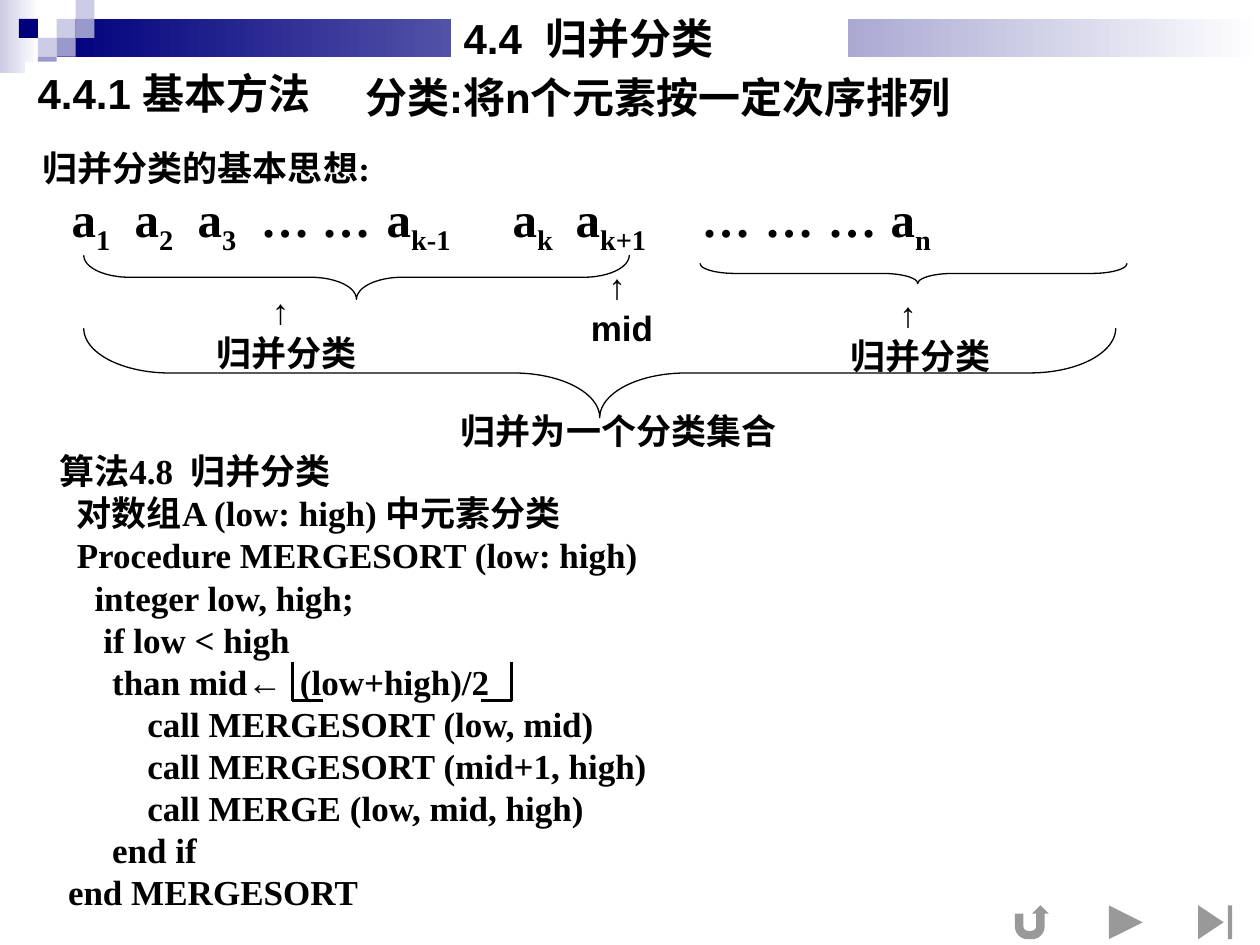
"""Build the merge sort slide: split diagram above, pseudocode below."""
from lxml import etree
from pptx import Presentation
from pptx.dml.color import RGBColor
from pptx.enum.shapes import MSO_CONNECTOR, MSO_SHAPE
from pptx.enum.text import MSO_ANCHOR, MSO_AUTO_SIZE, PP_ALIGN
from pptx.oxml.ns import qn
from pptx.util import Inches, Pt

RECT, BRACE = MSO_SHAPE.RECTANGLE, MSO_SHAPE.LEFT_BRACE
BUTTONS = (MSO_SHAPE.ACTION_BUTTON_RETURN,
           MSO_SHAPE.ACTION_BUTTON_FORWARD_OR_NEXT,
           MSO_SHAPE.ACTION_BUTTON_END)
STRAIGHT = MSO_CONNECTOR.STRAIGHT
TOP, MIDDLE = MSO_ANCHOR.TOP, MSO_ANCHOR.MIDDLE
LEFT, FIXED = PP_ALIGN.LEFT, MSO_AUTO_SIZE.NONE
C = {name: RGBColor.from_string(value) for name, value in {
    "white": "FFFFFF", "black": "000000", "navy": "00007D",
    "pale": "CCCCE6", "violet": "9999CC"}.items()}
SERIF, SANS = "Times New Roman", "Arial"
SPACE = 0.07
CELL = 0.15

prs = Presentation()
prs.slide_width, prs.slide_height = Inches(10), Inches(7.5)
s = prs.slides.add_slide(prs.slide_layouts[1])


def add_block(kind, box, *colors):
    sp = s.shapes.add_shape(kind, *map(Inches, box))
    sp.shadow.inherit = False
    sp.line.fill.background()
    if len(colors) == 2:
        sp.fill.gradient()
        sp.fill.gradient_angle = 180
        for stop, color in zip(sp.fill.gradient_stops, colors):
            stop.color.rgb = C[color]
    elif colors:
        sp.fill.solid()
        sp.fill.fore_color.rgb = C[colors[0]]
    else:
        sp.fill.background()
    return sp


def write(sp, box, lines, size=20, wrap=True, anchor=TOP):
    sp.left, sp.top, sp.width, sp.height = map(Inches, box)
    tf = sp.text_frame
    tf.auto_size, tf.word_wrap, tf.vertical_anchor = FIXED, wrap, anchor
    for i, (text, font, indent) in enumerate(lines):
        p = tf.add_paragraph() if i else tf.paragraphs[0]
        p.text = text
        p.alignment = LEFT
        p.space_before = Pt(0)
        p.font.size, p.font.bold, p.font.name = Pt(size), True, font
        p.font.color.rgb = C["black"]
        pPr = p._p.get_or_add_pPr()
        pPr.set("marL", str(Inches(indent)))
        pPr.set("indent", "0")
        pPr.insert_element_before(etree.Element(qn("a:buNone")), "a:tabLst", "a:defRPr")
    return tf


add_block(RECT, (0, 0, 0.31, 0.58), "white", "pale")
add_block(RECT, (0.45, 0.15, 9.55, 0.3), "white", "navy")
for col, row, color in [(3, 1, "pale"), (4, 0, "pale"), (4, 1, "violet"), (2, 2, "pale"),
                        (1, 1, "navy"), (3, 2, "violet"), (2, 3, "violet")]:
    add_block(RECT, (col * CELL, row * CELL, CELL, CELL), color)

for kind, left, width in zip(BUTTONS, (7.84, 8.62, 9.33), (0.7, 0.63, 0.63)):
    add_block(kind, (left, 7.14, width, 0.36), "white")

for center_x, center_y, depth, span, curve, tip in [
        (4.76, 2.96, 0.71, 8.19, 0.96, 0.5),
        (2.83, 2.2, 0.35, 4.33, 1.03, 0.5),
        (7.25, 2.17, 0.16, 3.39, 1.75, 0.51)]:
    sp = add_block(BRACE, (center_x - depth / 2, center_y - span / 2, depth, span))
    sp.rotation = 270
    sp.adjustments[0], sp.adjustments[1] = curve, tip
    sp.line.color.rgb, sp.line.width = C["black"], Pt(0.75)

title, body = s.shapes.title, s.placeholders[1]
write(title, (3.58, 0.05, 3.15, 0.5), [("4.4  归并分类", SANS, 0)], 24)
title.fill.solid()
title.fill.fore_color.rgb = C["white"]
s.shapes._spTree.append(title._element)

code = [(2, "算法4.8  归并分类"),
        (4, "对数组A (low: high) 中元素分类"),
        (4, "Procedure MERGESORT (low: high)"),
        (6, "integer low, high;"),
        (7, "if low < high"),
        (8, "than mid←  (low+high)/2"),
        (12, "call MERGESORT (low, mid)"),
        (12, "call MERGESORT (mid+1, high)"),
        (12, "call MERGE (low, mid, high)"),
        (8, "end if"),
        (3, "end MERGESORT")]
write(body, (0.23, 3.52, 5.01, 3.77),
      [(text, SERIF, n * SPACE) for n, text in code], anchor=MIDDLE)

heading = add_block(RECT, (0.2, 0.49, 2.52, 0.5), "white")
write(heading, (0.2, 0.49, 2.52, 0.5), [("4.4.1 基本方法", SANS, 0)], 24)

for box, size, wrap, lines in [
        ((2.8, 0.52, 5.24, 0.5), 24, False, [("分类:将n个元素按一定次序排列", SANS, 0)]),
        ((0.24, 1.11, 2.86, 0.44), 20, False, [("归并分类的基本思想:", SERIF, 0)]),
        ((3.56, 3.2, 2.7, 0.44), 20, False, [("归并为一个分类集合", SANS, 0)]),
        ((4.45, 2.05, 1.18, 0.77), 20, True, [("↑", SERIF, 0.28), ("mid", SANS, 0.14)]),
        ((1.44, 2.25, 1.91, 0.77), 20, True, [("↑", SERIF, 0.62), ("归并分类", SANS, 0.18)]),
        ((6.42, 2.27, 1.81, 0.77), 20, True, [("↑", SERIF, 0.62), ("归并分类", SANS, 0.23)])]:
    write(s.shapes.add_textbox(0, 0, 0, 0), box, lines, size, wrap)

terms = [("a", "1", 0), ("a", "2", 0.69), ("a", "3", 1.48), ("… …", "", 1.98),
         ("a", "k-1", 3.22), ("a", "k", 4.12), ("a", "k+1", 4.75), ("…", "", 5.5),
         ("…", "", 6.18), ("…", "", 6.95), ("a", "n", 7.81)]
tf = write(s.shapes.add_textbox(0, 0, 0, 0), (0.47, 1.45, 9.02, 0.63), [("", SERIF, 0)], 28)
p = tf.paragraphs[0]
tabs = etree.Element(qn("a:tabLst"))
p._p.get_or_add_pPr().insert_element_before(tabs, "a:defRPr")
for base, sub, pos in terms:
    if pos:
        etree.SubElement(tabs, qn("a:tab"), pos=str(Inches(pos)), algn="l")
    r = p.add_run()
    r.text = "\t" + base if pos else base
    if sub:
        r = p.add_run()
        r.text = sub
        r.font._element.set("baseline", "-25000")

for x1, y1, x2, y2 in [(2.32, 5.25, 2.32, 5.56), (4.06, 5.25, 4.06, 5.56),
                       (2.32, 5.56, 2.56, 5.56), (3.82, 5.56, 4.06, 5.56)]:
    line = s.shapes.add_connector(STRAIGHT, *map(Inches, (x1, y1, x2, y2)))
    line.line.color.rgb, line.line.width = C["black"], Pt(1.5)
    etree.SubElement(line._element.spPr, qn("a:effectLst"))

prs.save("out.pptx")
